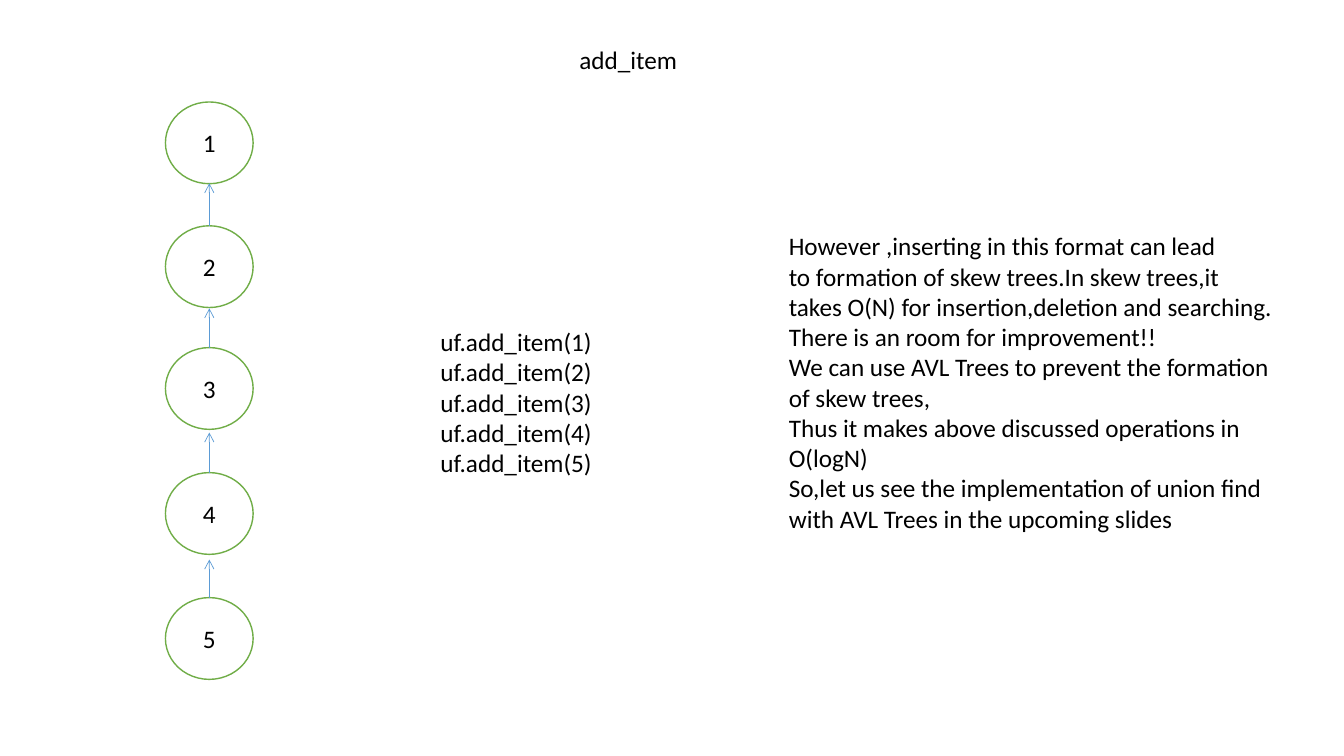
from lxml import etree
from pptx import Presentation
from pptx import util as u
from pptx.dml.color import RGBColor
from pptx.enum import shapes, text
from pptx.oxml.ns import qn

NODE_LEFT, NODE_WIDTH, NODE_HEIGHT = 4.17, 2.21, 2.06
NODE_TOPS = [2.57, 5.69, 8.76, 11.91, 15.06]
ARROW_TIPS = [4.62, 7.77, 10.9, 14.1]

CALLS = [f"uf.add_item({number})" for number in range(1, 6)]
REMARKS = [
    "However ,inserting in this format can lead",
    "to formation of skew trees.In skew trees,it",
    "takes O(N) for insertion,deletion and searching.",
    "There is an room for improvement!!",
    "We can use AVL Trees to prevent the formation",
    "of skew trees,\nThus it makes above discussed operations in",
    "O(logN)",
    "So,let us see the implementation of union find",
    "with AVL Trees in the upcoming slides",
]


def color(hex_value):
    return RGBColor.from_string(hex_value)


def write_text(frame, lines, size=18, font="Calibri", ink="000000",
               align=text.PP_ALIGN.LEFT):
    """Write one paragraph per line; a newline within a line is a line break."""
    for index, line in enumerate(lines):
        paragraph = frame.add_paragraph() if index else frame.paragraphs[0]
        paragraph.text = line
        paragraph.alignment = align
        for run in paragraph.runs:
            run.font.size = u.Pt(size)
            run.font.name = font
            run.font.color.rgb = color(ink)


def add_node(slide, label, top):
    node = slide.shapes.add_shape(
        shapes.MSO_SHAPE.OVAL, u.Cm(NODE_LEFT), u.Cm(top),
        u.Cm(NODE_WIDTH), u.Cm(NODE_HEIGHT))
    node.shadow.inherit = False
    node.fill.solid()
    node.fill.fore_color.rgb = color("FFFFFF")
    node.line.color.rgb = color("70AD47")
    node.line.width = u.Pt(1)
    node.text_frame.vertical_anchor = text.MSO_ANCHOR.MIDDLE
    write_text(node.text_frame, [label], align=text.PP_ALIGN.CENTER)
    return node


def add_parent_arrow(slide, child, tip):
    """Point up from the top of the child node to the height of the tip."""
    center = child.left + child.width // 2
    arrow = slide.shapes.add_connector(
        shapes.MSO_CONNECTOR.STRAIGHT, center, child.top, center, u.Cm(tip))
    arrow.begin_connect(child, 0)
    arrow.line.color.rgb = color("5B9BD5")
    arrow.line.width = u.Pt(0.5)
    properties = arrow.line._get_or_add_ln()
    etree.SubElement(properties, qn("a:tailEnd"), type="arrow")
    etree.SubElement(arrow._element.spPr, qn("a:effectLst"))


def add_text_box(slide, lines, left, top, width, height):
    box = slide.shapes.add_textbox(
        u.Cm(left), u.Cm(top), u.Cm(width), u.Cm(height))
    box.text_frame.word_wrap = False
    box.text_frame.auto_size = text.MSO_AUTO_SIZE.SHAPE_TO_FIT_TEXT
    write_text(box.text_frame, lines)


def main():
    presentation = Presentation()
    presentation.slide_width = u.Cm(33.87)
    presentation.slide_height = u.Cm(19.05)
    slide = presentation.slides.add_slide(presentation.slide_layouts[6])

    nodes = [add_node(slide, str(number), top)
             for number, top in enumerate(NODE_TOPS, start=1)]
    for child, tip in zip(nodes[1:], ARROW_TIPS):
        add_parent_arrow(slide, child, tip)

    add_text_box(slide, CALLS, 10.85, 8.1, 4.32, 4.88)
    add_text_box(slide, ["add_item"], 14.35, 0.99, 2.97, 1.02)
    add_text_box(slide, REMARKS, 19.63, 5.69, 12.7, 7.95)

    presentation.save("out.pptx")


if __name__ == "__main__":
    main()
